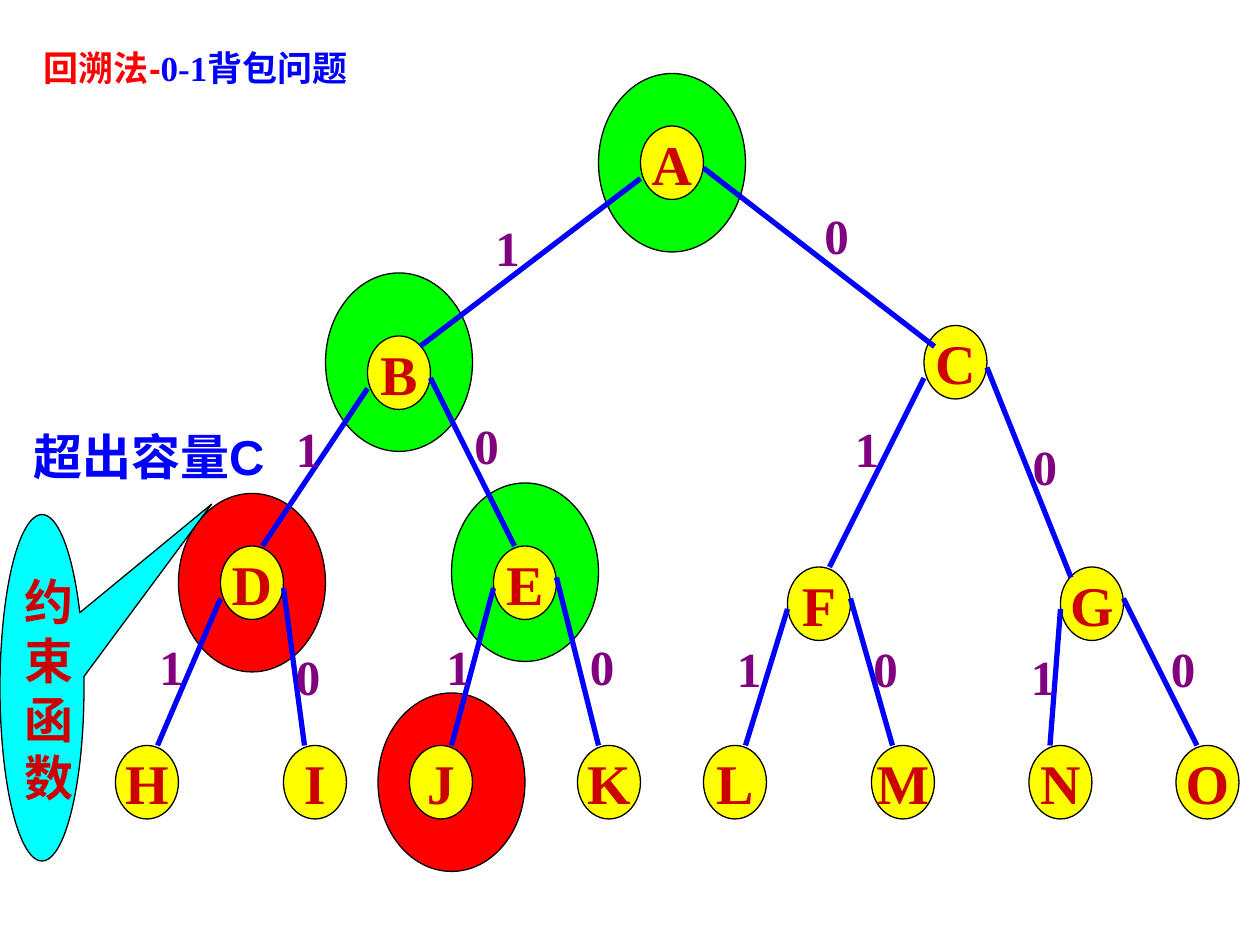
from dataclasses import dataclass

from lxml import etree
from pptx import Presentation
from pptx.dml.color import RGBColor
from pptx.enum.shapes import MSO_CONNECTOR, MSO_SHAPE
from pptx.enum.text import MSO_ANCHOR, MSO_AUTO_SIZE, PP_ALIGN
from pptx.oxml.ns import qn
from pptx.util import Pt

ELLIPSE = MSO_SHAPE.OVAL
CALLOUT = MSO_SHAPE.OVAL_CALLOUT
STRAIGHT = MSO_CONNECTOR.STRAIGHT
TOP, MIDDLE = MSO_ANCHOR.TOP, MSO_ANCHOR.MIDDLE
CENTER = PP_ALIGN.CENTER
GROW = MSO_AUTO_SIZE.SHAPE_TO_FIT_TEXT


@dataclass(frozen=True)
class Theme:
    serif: str = "Times New Roman"
    sans: str = "Arial"
    title_size: float = 20
    label_size: float = 28
    node_size: float = 32
    outline_width: float = 0.75
    edge_width: float = 3
    outline: str = "000000"
    node: str = "FFFF00"
    feasible: str = "00FF00"
    pruned: str = "FF0000"
    callout: str = "00FFFF"
    letter: str = "CC0000"
    bit: str = "800080"
    blue: str = "0000FF"
    red: str = "FF0000"


NODE_WIDTH, NODE_HEIGHT = 36, 42
HALO_WIDTH, HALO_HEIGHT = 84, 102
BIT_WIDTH, BIT_HEIGHT = 28.8, 41
LEAF_TOP = 426

NODES = {
    "A": (366, 72), "B": (210, 192), "C": (528, 186),
    "D": (126, 312), "E": (282, 312), "F": (450, 324), "G": (606, 324),
}
LEAF_LEFTS = (66, 162, 234, 330, 402, 498, 588, 672)
NODES.update((leaf, (left, LEAF_TOP)) for leaf, left in zip("HIJKLMNO", LEAF_LEFTS))

HALOS = (
    (216, 396, "pruned"), (258, 276, "feasible"), (102, 282, "pruned"),
    (186, 156, "feasible"), (342, 42, "feasible"),
)

# parent, child, bit, drop on parent side, offset inside child, label corner
EDGES = (
    ("A", "B", "1", 30, (30, 6), (276, 121)),
    ("A", "C", "0", 24, (6, 12), (464, 114)),
    ("B", "D", "1", 30, (24, 0), (162, 235.5)),
    ("B", "E", "0", 24, (12, 0), (264, 234)),
    ("C", "F", "1", 30, (24, 0), (481.5, 235.5)),
    ("C", "G", "0", 24, (6, 6), (583, 246)),
    ("D", "H", "1", 30, (24, 0), (84, 360)),
    ("D", "I", "0", 24, (12, 0), (162, 366)),
    ("E", "J", "1", 24, (24, 0), (248, 360)),
    ("E", "K", "0", 18, (12, 0), (330, 360)),
    ("F", "L", "1", 24, (24, 0), (414, 361.5)),
    ("F", "M", "0", 18, (12, 0), (492, 361.5)),
    ("G", "N", "1", 24, (12, 0), (582, 366)),
    ("G", "O", "0", 18, (12, 0), (662, 361.5)),
)


class TreeSlide:
    def __init__(self, slide, theme):
        self.slide = slide
        self.theme = theme

    def format_run(self, run, size, font, color):
        run.font.size = Pt(size)
        run.font.name = font
        run.font.bold = True
        run.font.color.rgb = RGBColor.from_string(color)

    def shape(self, kind, left, top, width, height, fill):
        shape = self.slide.shapes.add_shape(kind, Pt(left), Pt(top), Pt(width), Pt(height))
        shape.shadow.inherit = False
        shape.fill.solid()
        shape.fill.fore_color.rgb = RGBColor.from_string(fill)
        shape.line.color.rgb = RGBColor.from_string(self.theme.outline)
        shape.line.width = Pt(self.theme.outline_width)
        return shape

    def shape_text(self, shape, text, size, font, anchor, wrap):
        frame = shape.text_frame
        frame.word_wrap = wrap
        frame.vertical_anchor = anchor
        frame.text = text
        paragraph = frame.paragraphs[0]
        paragraph.alignment = CENTER
        self.format_run(paragraph.runs[0], size, font, self.theme.letter)

    def halo(self, left, top, fill):
        self.shape(ELLIPSE, left, top, HALO_WIDTH, HALO_HEIGHT, fill)

    def node(self, letter, left, top):
        node = self.shape(ELLIPSE, left, top, NODE_WIDTH, NODE_HEIGHT, self.theme.node)
        self.shape_text(node, letter, self.theme.node_size, self.theme.serif, MIDDLE, False)

    def callout(self, text, left, top, width, height, tip):
        callout = self.shape(CALLOUT, left, top, width, height, self.theme.callout)
        callout.adjustments[0], callout.adjustments[1] = tip
        self.shape_text(callout, text, self.theme.label_size, self.theme.sans, TOP, True)

    def edge(self, start, end):
        edge = self.slide.shapes.add_connector(STRAIGHT, *map(Pt, start + end))
        edge.line.color.rgb = RGBColor.from_string(self.theme.blue)
        edge.line.width = Pt(self.theme.edge_width)
        etree.SubElement(edge._element.spPr, qn("a:effectLst"))

    def label(self, left, top, width, height, pieces, size, wrap=True):
        label = self.slide.shapes.add_textbox(Pt(left), Pt(top), Pt(width), Pt(height))
        frame = label.text_frame
        frame.word_wrap = wrap
        frame.auto_size = GROW
        for text, font, color in pieces:
            run = frame.paragraphs[0].add_run()
            run.text = text
            self.format_run(run, size, font, color)


def main():
    presentation = Presentation()
    presentation.slide_width, presentation.slide_height = Pt(720), Pt(540)
    theme = Theme()
    tree = TreeSlide(presentation.slides.add_slide(presentation.slide_layouts[6]), theme)

    halo_fills = {"pruned": theme.pruned, "feasible": theme.feasible}
    for left, top, state in HALOS:
        tree.halo(left, top, halo_fills[state])

    title = (
        ("回溯法-", theme.sans, theme.red),
        ("0-1", theme.serif, theme.blue),
        ("背包问题", theme.sans, theme.blue),
    )
    tree.label(18, 23, 258, 31, title, theme.title_size)

    for letter, (left, top) in NODES.items():
        tree.node(letter, left, top)

    for parent, child, bit, drop, (inset_x, inset_y), _ in EDGES:
        parent_left, parent_top = NODES[parent]
        child_left, child_top = NODES[child]
        side = parent_left if bit == "1" else parent_left + NODE_WIDTH
        tree.edge((side, parent_top + drop), (child_left + inset_x, child_top + inset_y))

    for *_, bit, _, _, (left, top) in EDGES:
        tree.label(left, top, BIT_WIDTH, BIT_HEIGHT, [(bit, theme.serif, theme.bit)],
                   theme.label_size, wrap=False)

    tree.callout("约束函数", 0, 294, 48, 198, (2.02, -0.53))
    tree.label(12, 240, 169, 41, [("超出容量C", theme.sans, theme.blue)], theme.label_size)

    presentation.save("out.pptx")


if __name__ == "__main__":
    main()
